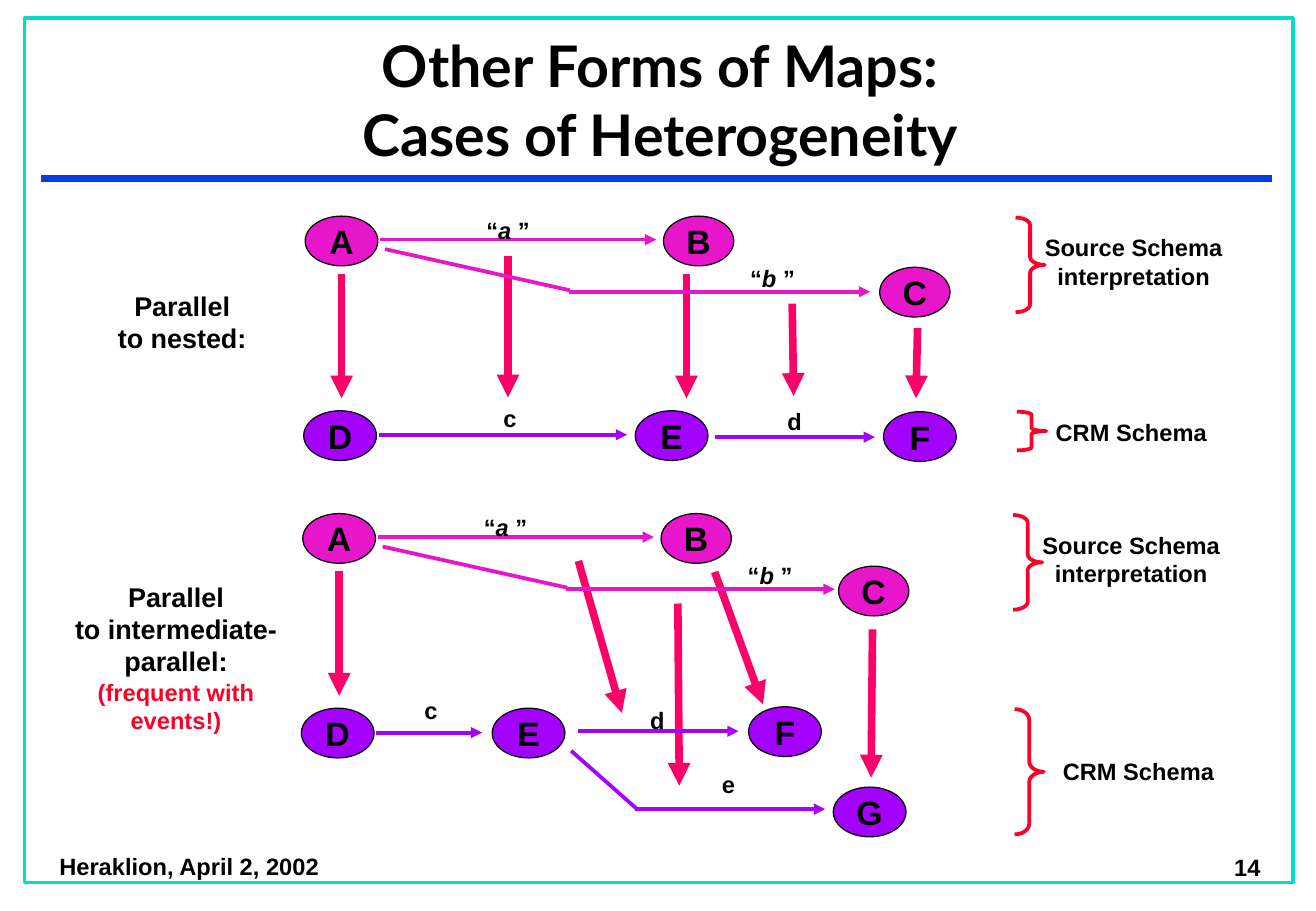
from lxml.etree import SubElement
from pptx import Presentation
from pptx.dml.color import RGBColor
from pptx.enum.shapes import MSO_CONNECTOR, MSO_SHAPE
from pptx.enum.text import MSO_ANCHOR, PP_ALIGN
from pptx.oxml.ns import qn
from pptx.util import Cm, Pt

# Content: lengths in centimetres
BLACK, BLUE, TEAL, RED = "000000", "063DE8", "00DFCA", "FC0128"
SOURCE, TARGET, MAPPING = "E816CA", "A302FC", "FC0168"
TITLE = "Other Forms of Maps:\vCases of Heterogeneity"
FOOTER, PAGE_NUMBER = "Heraklion, April 2, 2002", "14"
NODE_WIDTH, NARROW_NODES = 1.52, {"B": 1.47, "C": 1.47}
NODE_HEIGHT, LABEL_HEIGHT, BRACE_WIDTH = 1.04, 0.86, 0.61
LETTER_WIDTH, QUOTED_WIDTH = 1.0, 1.8

# Parts that both cases share, placed as in the first case
SHARED = {
    "maps": [(7.14, 5.72, 7.14, 8.33)],
    "nodes": [("A", 6.38, 4.52, SOURCE), ("B", 13.87, 4.52, SOURCE), ("D", 6.35, 8.59, TARGET)],
    "legs": [(8.05, 5.21, 11.91, 6.07, SOURCE)],
    "links": [(7.95, 5.01, 13.72, SOURCE)],
    "quoted": [("a", 9.72, 4.38), ("b", 15.25, 5.39)],
    "braces": [(21.23, 4.55, 1.98)],
    "notes": [("Source Schema\ninterpretation", 21.39, 4.75, 4.62, 1.45)],
}
NESTED = {
    "maps": [(14.35, 5.72, 14.35, 8.33), (10.62, 5.36, 10.62, 8.31),
             (19.18, 6.86, 19.15, 8.33), (16.56, 6.35, 16.59, 8.28)],
    "nodes": [("C", 18.39, 5.59, SOURCE), ("E", 13.28, 8.59, TARGET), ("F", 18.47, 8.61, TARGET)],
    "links": [(11.89, 6.1, 18.19, SOURCE), (7.92, 9.09, 13.11, TARGET),
              (14.94, 9.14, 18.29, TARGET)],
    "labels": [("c", 10.16, 8.33), ("d", 16.11, 8.38)],
    "braces": [(21.26, 8.61, 0.81)],
    "notes": [("CRM Schema", 21.62, 8.61, 4.06, LABEL_HEIGHT)],
    "caption": ("Parallel\nto nested:", 2.01, 5.92, 3.6, 1.63),
}
INTERMEDIATE = {
    "maps": [(14.17, 12.62, 14.2, 16.43), (14.94, 11.96, 15.95, 14.73),
             (12.09, 11.73, 13.0, 14.91), (18.24, 13.16, 18.21, 16.26)],
    "nodes": [("C", 17.53, 11.84, SOURCE), ("E", 10.29, 14.81, TARGET),
              ("F", 15.65, 14.78, TARGET), ("G", 17.42, 16.46, TARGET)],
    "legs": [(11.94, 15.7, 13.34, 16.94, TARGET)],
    "links": [(11.84, 12.32, 17.45, SOURCE), (7.87, 15.32, 10.08, TARGET),
              (12.09, 15.29, 15.44, TARGET), (13.28, 16.92, 17.25, TARGET)],
    "labels": [("c", 8.51, 14.43), ("d", 13.24, 14.63), ("e", 14.73, 15.98)],
    "braces": [(21.21, 14.83, 2.62)],
    "notes": [("CRM Schema", 21.77, 15.7, 4.06, LABEL_HEIGHT)],
    "caption": ("Parallel\nto intermediate-\nparallel:\n(frequent with\nevents!)",
                1.02, 12.01, 5.32, 3.48),
}
# Each drawing pass: parts and their shift from the stated place
PASSES = [(SHARED, 0, 0), (NESTED, 0, 0), (SHARED, -0.05, 6.22), (INTERMEDIATE, 0, 0)]

deck = Presentation()
deck.slide_width, deck.slide_height = Cm(27.51), Cm(19.05)
page = deck.slides.add_slide(deck.slide_layouts[6])


def rgb(colour):
    return RGBColor.from_string(colour)


def format_span(span, size, colour=BLACK, font="Arial"):
    span.font.size, span.font.name, span.font.bold = Pt(size), font, True
    span.font.color.rgb = rgb(colour)


def add_line(left, top, right, bottom, colour, width, arrow=True):
    line = page.shapes.add_connector(
        MSO_CONNECTOR.STRAIGHT, Cm(left), Cm(top), Cm(right), Cm(bottom))
    line.line.color.rgb, line.line.width = rgb(colour), Pt(width)
    if arrow:
        SubElement(line.line._get_or_add_ln(), qn("a:tailEnd"), type="triangle")
    SubElement(line._element.spPr, qn("a:effectLst"))


def add_outline(kind, left, top, width, height, colour, weight, fill=None):
    shape = page.shapes.add_shape(kind, Cm(left), Cm(top), Cm(width), Cm(height))
    shape.shadow.inherit = False
    shape.line.color.rgb, shape.line.width = rgb(colour), Pt(weight)
    if fill:
        shape.fill.solid()
        shape.fill.fore_color.rgb = rgb(fill)
    else:
        shape.fill.background()
    return shape


def write(frame, text, size, align=PP_ALIGN.CENTER, font="Arial", wrap=True):
    frame.text, frame.word_wrap = text, wrap
    for para in frame.paragraphs:
        para.alignment = align
        for span in para.runs:
            format_span(span, size, font=font)


def add_text(text, left, top, width, height, size=14, **style):
    box = page.shapes.add_textbox(Cm(left), Cm(top), Cm(width), Cm(height))
    write(box.text_frame, text, size, **style)
    return box.text_frame


def add_quoted(letter, left, top):
    frame = add_text("“", left, top, QUOTED_WIDTH, LABEL_HEIGHT)
    para = frame.paragraphs[0]
    for text, italic in ((letter + " ", True), ("”", False)):
        span = para.add_run()
        span.text = text
        format_span(span, 14)
        span.font.italic = italic


def add_brace(left, top, height):
    brace = add_outline(MSO_SHAPE.RIGHT_BRACE, left, top, BRACE_WIDTH, height, RED, 2.25)
    brace.adjustments[0] = height / BRACE_WIDTH / 12


# Frame, title and footer
add_line(0.86, 3.73, 26.59, 3.73, BLUE, 4, arrow=False)
add_outline(MSO_SHAPE.RECTANGLE, 0.51, 0.38, 26.52, 18.08, TEAL, 2)
title = add_text(TITLE, 0.53, 0.36, 26.54, 3.28, 34, font="Lato")
title.vertical_anchor = MSO_ANCHOR.BOTTOM
add_text(FOOTER, 0.99, 17.7, 6.4, 0.84, align=PP_ALIGN.LEFT)
number = add_text(PAGE_NUMBER, 20.88, 17.68, 5.72, 0.89, align=PP_ALIGN.RIGHT)
number.vertical_anchor = MSO_ANCHOR.MIDDLE

# Mapping arrows lie behind the schemas
for parts, dx, dy in PASSES:
    for left, top, right, bottom in parts["maps"]:
        add_line(left + dx, top + dy, right + dx, bottom + dy, MAPPING, 4.5)

# Schemas: nodes, links, labels and braces
for parts, dx, dy in PASSES:
    for name, left, top, colour in parts["nodes"]:
        node = add_outline(MSO_SHAPE.OVAL, left + dx, top + dy,
                           NARROW_NODES.get(name, NODE_WIDTH), NODE_HEIGHT, BLACK, 0.75, colour)
        write(node.text_frame, name, 20, wrap=False)
        node.text_frame.vertical_anchor = MSO_ANCHOR.MIDDLE
    for left, top, right, bottom, colour in parts.get("legs", []):
        add_line(left + dx, top + dy, right + dx, bottom + dy, colour, 2.25, arrow=False)
    for left, top, right, colour in parts["links"]:
        add_line(left + dx, top + dy, right + dx, top + dy, colour, 2.25)
    for letter, left, top in parts.get("quoted", []):
        add_quoted(letter, left + dx, top + dy)
    for letter, left, top in parts.get("labels", []):
        add_text(letter, left + dx, top + dy, LETTER_WIDTH, LABEL_HEIGHT)
    for left, top, height in parts["braces"]:
        add_brace(left + dx, top + dy, height)
    for text, left, top, width, height in parts["notes"]:
        add_text(text, left + dx, top + dy, width, height)

# Captions: the remark after the heading is smaller and red
for case in (NESTED, INTERMEDIATE):
    caption = add_text(*case["caption"], size=16)
    for para in caption.paragraphs[3:]:
        format_span(para.runs[0], 14, RED)

deck.save("out.pptx")
